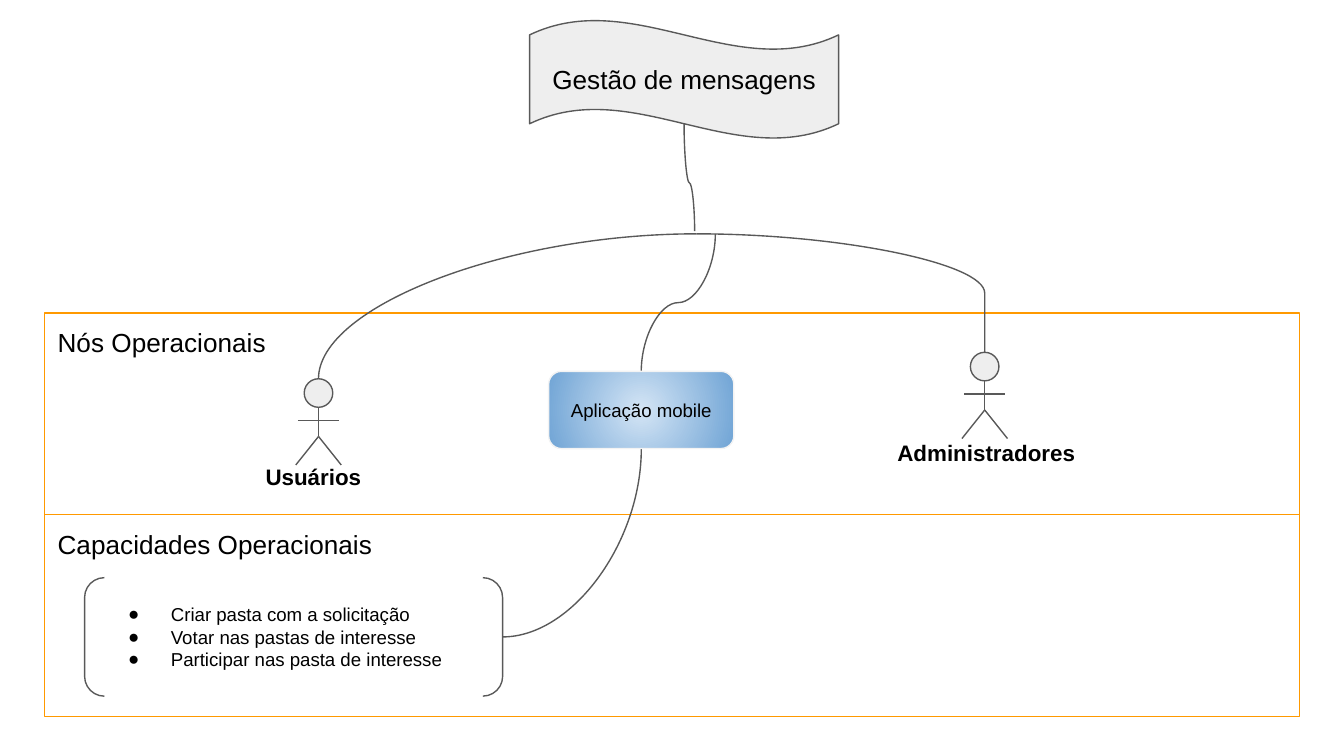
from dataclasses import dataclass

from lxml.etree import SubElement
from pptx import Presentation
from pptx.dml.color import RGBColor
from pptx.enum.shapes import MSO_CONNECTOR, MSO_SHAPE
from pptx.enum.text import MSO_ANCHOR, MSO_AUTO_SIZE, PP_ALIGN
from pptx.oxml.ns import qn
from pptx.util import Cm, Pt

BLACK = RGBColor(0x00, 0x00, 0x00)
GREY = RGBColor(0x59, 0x59, 0x59)
LIGHT_GREY = RGBColor(0xEE, 0xEE, 0xEE)
PALE_GREY = RGBColor(0xF3, 0xF3, 0xF3)
ORANGE = RGBColor(0xFF, 0x99, 0x00)
LIGHT_BLUE = RGBColor(0xD4, 0xE5, 0xF5)
BLUE = RGBColor(0x70, 0xA4, 0xD5)

Point = tuple[float, float]


@dataclass(frozen=True)
class Box:
    left: float
    top: float
    width: float
    height: float

    def lengths(self) -> tuple[Cm, Cm, Cm, Cm]:
        return Cm(self.left), Cm(self.top), Cm(self.width), Cm(self.height)


@dataclass(frozen=True)
class Actor:
    name: str
    center: float
    top: float
    label: Box
    alignment: PP_ALIGN


@dataclass(frozen=True)
class Curve:
    start: Point
    end: Point
    rotation: int
    preset: str = "curvedConnector3"
    bend: float = 0.5
    flipped: bool = False


FLAG = Box(10.01, 0.38, 5.84, 2.24)
FLAG_TITLE = "Gestão de mensagens"
PANEL = Box(0.84, 5.92, 23.72, 3.81)
PANEL_TITLES = ("Nós Operacionais", "Capacidades Operacionais")
APPLICATION = Box(10.37, 7.02, 3.5, 1.46)
BRACKETS = Box(1.6, 10.92, 7.9, 2.24)
LIST = Box(1.71, 10.92, 7.68, 2.24)
CAPABILITIES = (
    "Criar pasta com a solicitação",
    "Votar nas pastas de interesse",
    "Participar nas pasta de interesse",
)
ACTORS = (
    Actor("Usuários", 6.02, 7.16, Box(4.17, 8.51, 3.51, 0.97), PP_ALIGN.CENTER),
    Actor("Administradores", 18.61, 6.66, Box(16.71, 8.05, 4.27, 0.97), PP_ALIGN.LEFT),
)
CURVES = (
    Curve((12.12, 7.02), (13.52, 4.42), 270),
    Curve((6.02, 7.16), (13.16, 4.42), 270, "curvedConnector2"),
    Curve((18.61, 6.66), (13.16, 4.42), 180, bend=0),
    Curve((13.13, 4.37), (12.93, 2.34), 90, bend=0.45, flipped=True),
    Curve((12.12, 8.48), (9.5, 12.04), 90, "curvedConnector2"),
)
HEAD = 0.54


def write(box, lines: tuple[str, ...], size: int, alignment=PP_ALIGN.LEFT,
          anchor=MSO_ANCHOR.MIDDLE, bold: bool = False) -> None:
    frame = box.text_frame
    frame.word_wrap = True
    frame.auto_size = MSO_AUTO_SIZE.NONE
    frame.vertical_anchor = anchor
    frame.margin_left = frame.margin_right = Cm(0.25)
    frame.margin_top = frame.margin_bottom = Cm(0.25)
    frame.text = "\n".join(lines)
    for para in frame.paragraphs:
        para.alignment = alignment
        para.space_before = Pt(0)
        para.font.name = "Arial"
        para.font.size = Pt(size)
        para.font.bold = bold
        para.font.color.rgb = BLACK


def place(box, position: Box) -> None:
    box.left, box.top, box.width, box.height = position.lengths()


def add_outline(shapes, kind, position: Box, line: RGBColor, fill: RGBColor | None = None):
    shape = shapes.add_shape(kind, *position.lengths())
    shape.shadow.inherit = False
    shape.line.color.rgb = line
    shape.line.width = Pt(0.75)
    if fill is None:
        shape.fill.background()
    else:
        shape.fill.solid()
        shape.fill.fore_color.rgb = fill
    return shape


def add_line(shapes, start: Point, end: Point, kind=MSO_CONNECTOR.STRAIGHT):
    line = shapes.add_connector(kind, *(Cm(value) for value in (*start, *end)))
    line.line.color.rgb = GREY
    line.line.width = Pt(0.75)
    SubElement(line._element.spPr, qn("a:effectLst"))
    return line


def add_curve(shapes, curve: Curve) -> None:
    (x1, y1), (x2, y2) = curve.start, curve.end
    width, height = abs(x2 - x1), abs(y2 - y1)
    if curve.rotation in (90, 270):
        width, height = height, width
    left, top = (x1 + x2 - width) / 2, (y1 + y2 - height) / 2
    line = add_line(shapes, (left, top), (left + width, top + height), MSO_CONNECTOR.CURVE)
    properties = line._element.spPr
    transform = properties.find(qn("a:xfrm"))
    transform.set("rot", str(curve.rotation * 60000))
    if curve.flipped:
        transform.set("flipH", "1")
    geometry = properties.find(qn("a:prstGeom"))
    geometry.set("prst", curve.preset)
    if curve.preset == "curvedConnector3":
        guides = geometry.find(qn("a:avLst"))
        SubElement(guides, qn("a:gd"), name="adj1", fmla=f"val {round(curve.bend * 100000)}")


def add_actor(shapes, actor: Actor) -> None:
    parts = shapes.add_group_shape().shapes
    center, top = actor.center, actor.top
    head = Box(center - HEAD / 2, top, HEAD, HEAD)
    add_outline(parts, MSO_SHAPE.FLOWCHART_CONNECTOR, head, GREY, LIGHT_GREY)
    hip = (center, top + 1.09)
    add_line(parts, (center, top + HEAD), hip)
    add_line(parts, (center - 0.39, top + 0.79), (center + 0.39, top + 0.79))
    for side in (-0.43, 0.43):
        add_line(parts, hip, (center + side, top + 1.63))
    label = parts.add_textbox(*actor.label.lengths())
    write(label, (actor.name,), 12, actor.alignment, MSO_ANCHOR.TOP, bold=True)


def add_application(shapes) -> None:
    box = add_outline(shapes, MSO_SHAPE.ROUNDED_RECTANGLE, APPLICATION, PALE_GREY)
    box.fill.gradient()
    for stop, color, position in zip(box.fill.gradient_stops, (LIGHT_BLUE, BLUE), (0, 1)):
        stop.color.rgb = color
        stop.position = position
    gradient = box._element.spPr.find(qn("a:gradFill"))
    gradient.remove(gradient.find(qn("a:lin")))
    circle = SubElement(gradient, qn("a:path"), path="circle")
    SubElement(circle, qn("a:fillToRect"), l="50000", t="50000", r="50000", b="50000")
    write(box, ("Aplicação mobile",), 10, PP_ALIGN.CENTER)


def add_bullets(box) -> None:
    for para in box.text_frame.paragraphs:
        properties = para._p.get_or_add_pPr()
        properties.set("marL", str(Cm(1.27)))
        properties.set("indent", str(Cm(-0.81)))
        bullet_color = SubElement(properties, qn("a:buClr"))
        SubElement(bullet_color, qn("a:srgbClr"), val=str(BLACK))
        SubElement(properties, qn("a:buFont"), typeface="Arial")
        SubElement(properties, qn("a:buChar"), char="●")
        following = properties.find(qn("a:defRPr"))
        if following is not None:
            properties.append(following)


def main() -> None:
    deck = Presentation()
    deck.slide_width, deck.slide_height = Cm(25.4), Cm(14.29)
    page = deck.slides.add_slide(deck.slide_layouts[1])
    shapes = page.shapes
    title, body = shapes.title, page.placeholders[1]

    add_outline(shapes, MSO_SHAPE.WAVE, FLAG, GREY, LIGHT_GREY)
    place(title, FLAG)
    write(title, (FLAG_TITLE,), 14, PP_ALIGN.CENTER)
    title._element.getparent().append(title._element)

    for row, text in enumerate(PANEL_TITLES):
        position = Box(PANEL.left, PANEL.top + row * PANEL.height, PANEL.width, PANEL.height)
        panel = add_outline(shapes, MSO_SHAPE.RECTANGLE, position, ORANGE)
        write(panel, (text,), 14, anchor=MSO_ANCHOR.TOP)

    add_outline(shapes, MSO_SHAPE.DOUBLE_BRACKET, BRACKETS, GREY)
    place(body, LIST)
    write(body, CAPABILITIES, 10)
    add_bullets(body)

    for curve in CURVES:
        add_curve(shapes, curve)
    add_application(shapes)
    for actor in ACTORS:
        add_actor(shapes, actor)

    deck.save("out.pptx")


if __name__ == "__main__":
    main()
